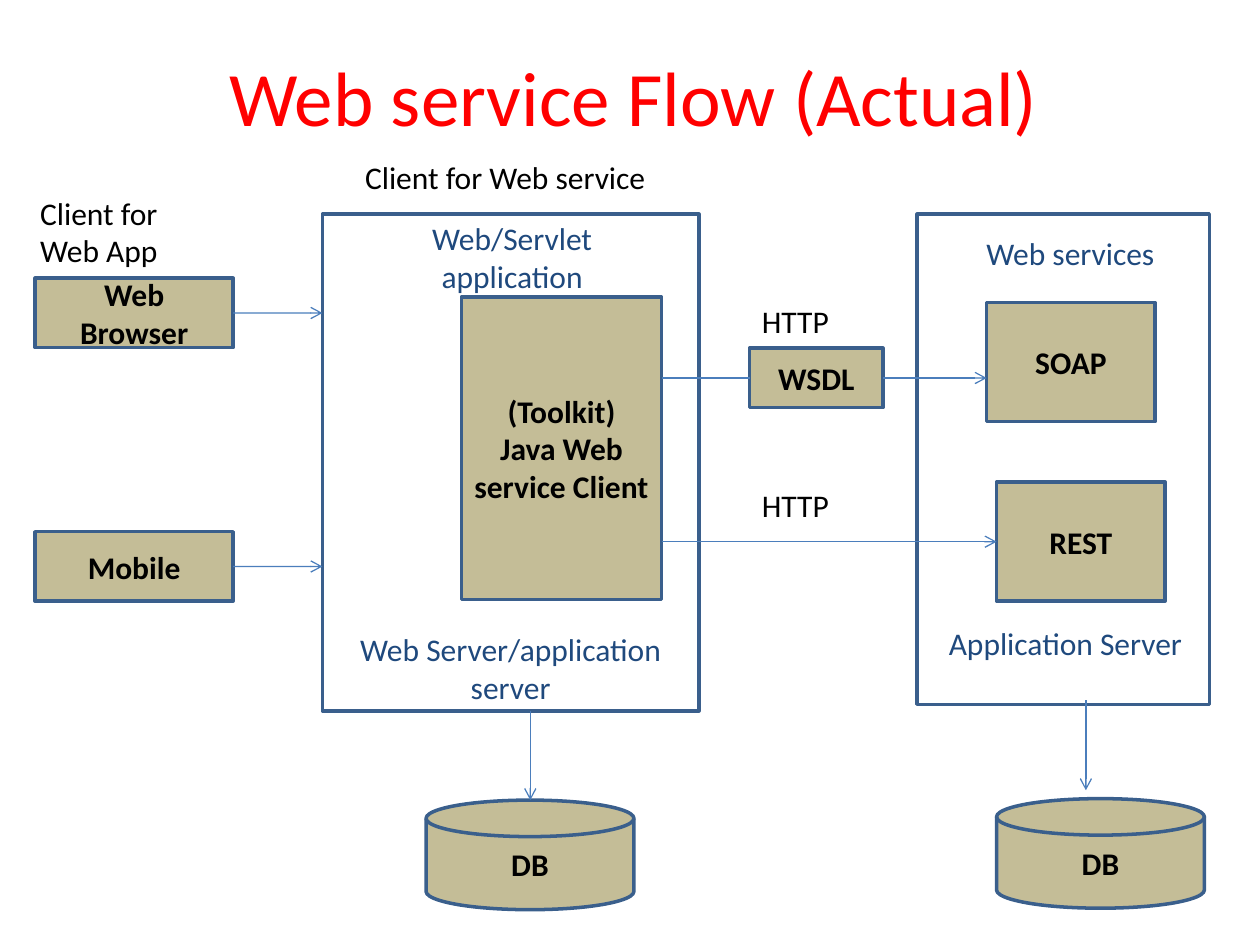
from dataclasses import dataclass
from typing import Optional

from pptx import Presentation, util as u
from pptx.dml.color import RGBColor
from pptx.enum import shapes as es, text as et
from pptx.oxml.ns import qn
from lxml import etree


@dataclass(frozen=True)
class Theme:
    font: str = "Calibri"
    title_size: int = 44
    body_size: int = 18
    title: str = "FF0000"
    ink: str = "000000"
    label: str = "1F497D"
    fill: str = "C4BD97"
    border: str = "3A5F8C"
    link: str = "4B7EBC"
    border_width: float = 2
    link_width: float = 0.75


@dataclass(frozen=True)
class Box:
    key: str
    text: str
    x: float
    y: float
    w: float
    h: float
    filled: bool = True
    kind: es.MSO_SHAPE = es.MSO_SHAPE.RECTANGLE


@dataclass(frozen=True)
class Label:
    text: str
    x: float
    y: float
    w: float
    h: float = 1.02
    server: bool = False


@dataclass(frozen=True)
class Link:
    x1: float
    y1: float
    x2: float
    y2: float
    begin: Optional[str] = None
    end: Optional[str] = None
    arrow: bool = True


T = Theme()
LEFT, RIGHT = 1, 3
DISK = es.MSO_SHAPE.FLOWCHART_MAGNETIC_DISK

BOXES = [
    Box("browser", "Web Browser", 0.71, 5.61, 3.99, 1.4),
    Box("mobile", "Mobile", 0.71, 10.72, 3.99, 1.4),
    Box("web server", "", 6.5, 4.32, 7.59, 10.01, filled=False),
    Box("toolkit", "(Toolkit)\nJava Web service Client", 9.3, 5.99, 4.04, 6.1),
    Box("web db", "DB", 8.59, 16.13, 4.19, 2.21, kind=DISK),
    Box("app server", "", 18.49, 4.32, 5.89, 9.88, filled=False),
    Box("wsdl", "WSDL", 15.11, 7.02, 2.69, 1.2),
    Box("soap", "SOAP", 19.89, 6.1, 3.4, 2.4),
    Box("rest", "REST", 20.09, 9.72, 3.4, 2.4),
    Box("app db", "DB", 20.09, 16.1, 4.19, 2.21, kind=DISK),
]

LABELS = [
    Label("Web Server/application server", 6.5, 12.57, 7.59, 1.8, server=True),
    Label("Web/Servlet application", 7.11, 4.29, 6.43, 1.8, server=True),
    Label("Web services", 18.85, 4.6, 5.46, server=True),
    Label("Application Server", 18.75, 12.45, 5.46, server=True),
    Label("HTTP", 15.11, 9.68, 4.29),
    Label("HTTP", 15.11, 5.97, 4.29),
    Label("Client for Web service", 7.11, 3.07, 6.43),
    Label("Client for Web App", 0.56, 3.78, 3.53, 1.8),
]

LINKS = [
    Link(10.69, 14.33, 10.69, 16.13),
    Link(21.89, 14.12, 21.89, 15.93),
    Link(13.34, 7.62, 15.11, 7.62, end="wsdl", arrow=False),
    Link(17.8, 7.62, 19.89, 7.62, begin="wsdl"),
    Link(4.7, 6.31, 6.5, 6.31, begin="browser"),
    Link(4.7, 11.42, 6.5, 11.42, begin="mobile"),
    Link(13.34, 10.92, 20.09, 10.92, end="rest"),
]


def rgb(value: str) -> RGBColor:
    return RGBColor.from_string(value)


def write(sp, content: str, *, size: int = T.body_size, color: str = T.ink,
          bold: bool = False, centred: bool = True, middle: bool = True) -> None:
    tf = sp.text_frame
    tf.word_wrap = True
    tf.vertical_anchor = et.MSO_ANCHOR.MIDDLE if middle else et.MSO_ANCHOR.TOP
    for i, line in enumerate(content.split("\n")):
        p = tf.add_paragraph() if i else tf.paragraphs[0]
        p.alignment = et.PP_ALIGN.CENTER if centred else et.PP_ALIGN.LEFT
        r = p.add_run()
        r.text = line
        r.font.name = T.font
        r.font.size = u.Pt(size)
        r.font.bold = bold
        r.font.color.rgb = rgb(color)


def add_box(s, box: Box):
    sp = s.shapes.add_shape(box.kind, u.Cm(box.x), u.Cm(box.y), u.Cm(box.w), u.Cm(box.h))
    sp.shadow.inherit = False
    if box.filled:
        sp.fill.solid()
        sp.fill.fore_color.rgb = rgb(T.fill)
    else:
        sp.fill.background()
    sp.line.color.rgb = rgb(T.border)
    sp.line.width = u.Pt(T.border_width)
    if box.text:
        write(sp, box.text, bold=True)
    return sp


def add_label(s, label: Label) -> None:
    sp = s.shapes.add_textbox(u.Cm(label.x), u.Cm(label.y), u.Cm(label.w), u.Cm(label.h))
    write(sp, label.text, color=T.label if label.server else T.ink,
          centred=label.server, middle=False)


def add_link(s, link: Link, boxes: dict) -> None:
    cx = s.shapes.add_connector(es.MSO_CONNECTOR.STRAIGHT, u.Cm(link.x1), u.Cm(link.y1),
                                u.Cm(link.x2), u.Cm(link.y2))
    if link.begin:
        cx.begin_connect(boxes[link.begin], RIGHT)
    if link.end:
        cx.end_connect(boxes[link.end], LEFT)
    cx.line.color.rgb = rgb(T.link)
    cx.line.width = u.Pt(T.link_width)
    sp_pr = cx._element.spPr
    if link.arrow:
        etree.SubElement(sp_pr.find(qn("a:ln")), qn("a:tailEnd"), type="arrow")
    etree.SubElement(sp_pr, qn("a:effectLst"))


def main() -> None:
    prs = Presentation()
    prs.slide_width, prs.slide_height = u.Cm(25.4), u.Cm(19.05)
    s = prs.slides.add_slide(prs.slide_layouts[6])
    title = s.shapes.add_textbox(u.Cm(1.35), u.Cm(0.33), u.Cm(22.86), u.Cm(3.18))
    write(title, "Web service Flow (Actual)", size=T.title_size, color=T.title)
    boxes = {box.key: add_box(s, box) for box in BOXES}
    for link in LINKS:
        add_link(s, link, boxes)
    for label in LABELS:
        add_label(s, label)
    prs.save("out.pptx")


if __name__ == "__main__":
    main()
